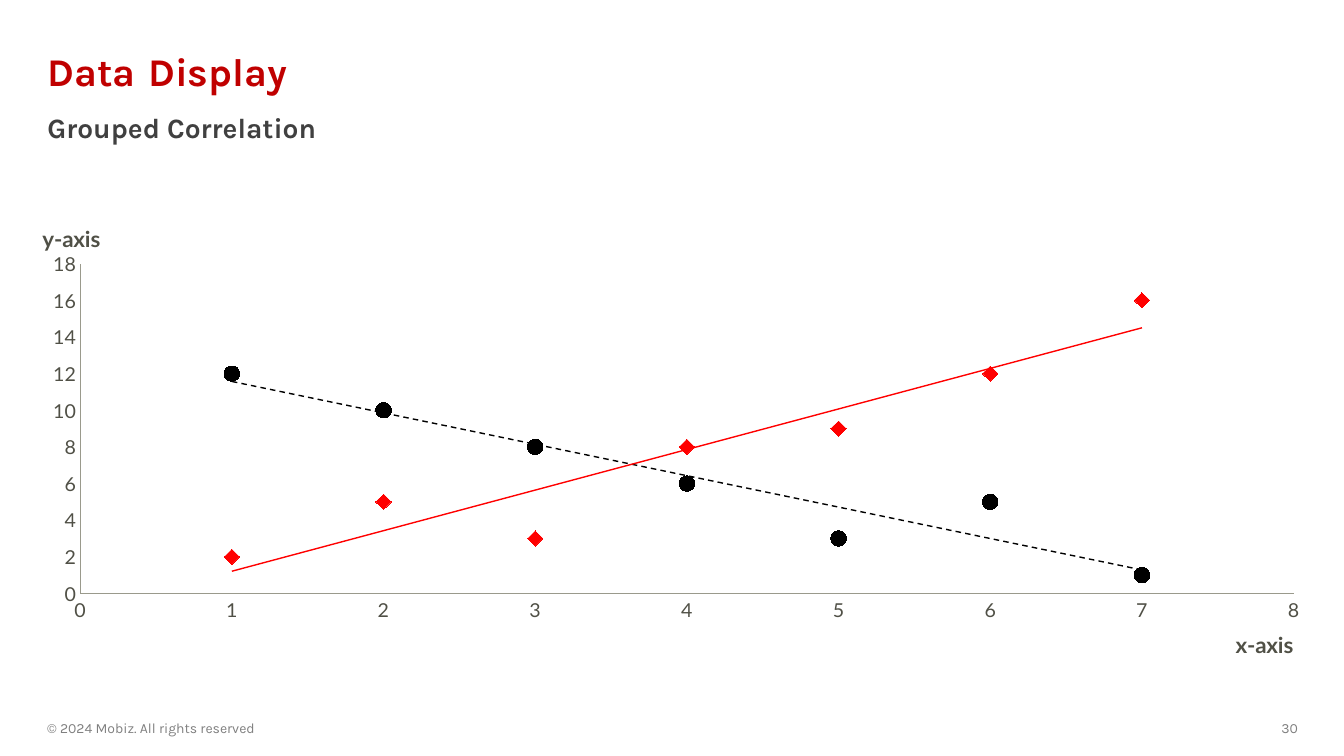
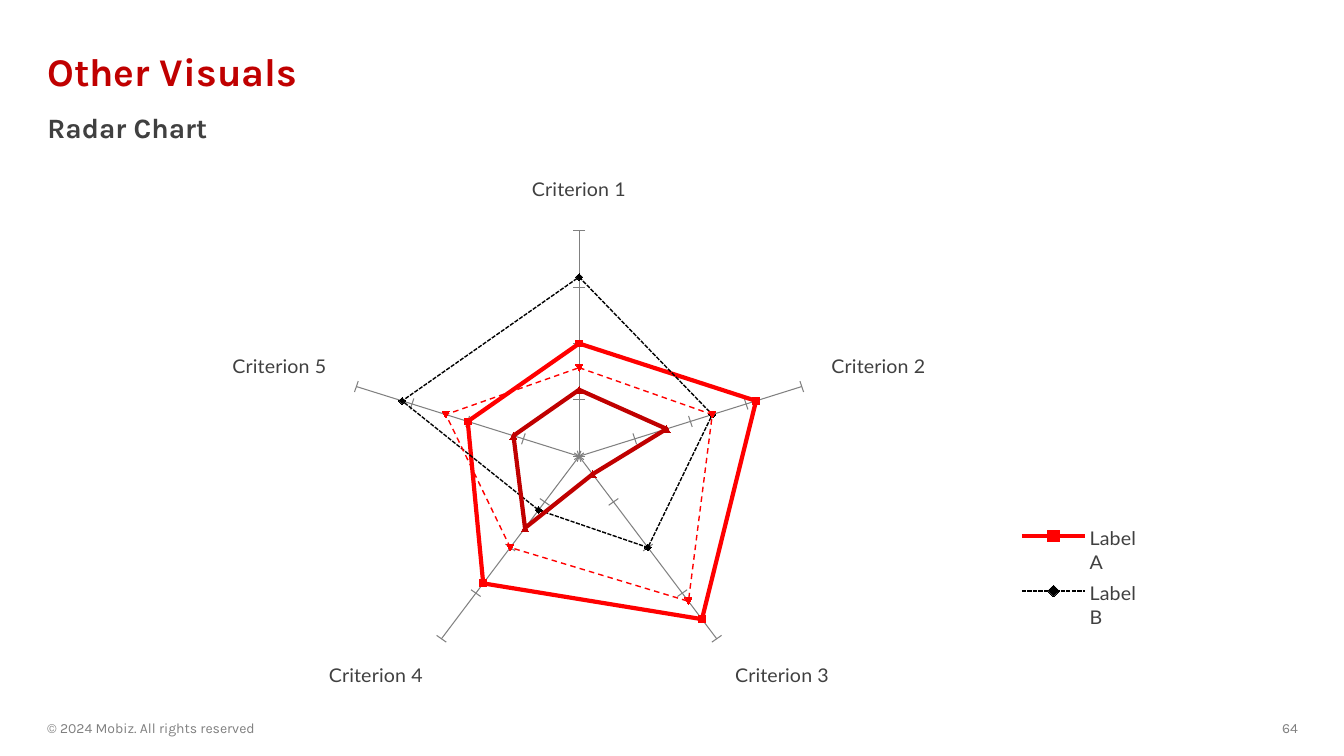
from lxml import etree
from pptx import Presentation
from pptx.chart.data import CategoryChartData, XyChartData
from pptx.dml.color import RGBColor
from pptx.enum.chart import XL_CHART_TYPE as ChartType
from pptx.enum.chart import XL_LEGEND_POSITION as LegendPosition
from pptx.enum.chart import XL_MARKER_STYLE as Marker
from pptx.enum.chart import XL_TICK_LABEL_POSITION as LabelPosition
from pptx.enum.chart import XL_TICK_MARK as TickMark
from pptx.enum.dml import MSO_LINE_DASH_STYLE as Dash
from pptx.enum.text import MSO_ANCHOR, MSO_AUTO_SIZE, PP_ALIGN
from pptx.oxml.ns import qn
from pptx.util import Inches, Pt

COLORS = {name: RGBColor.from_string(value) for name, value in {
    "title": "C00000",
    "subtitle": "404040",
    "footer": "808080",
    "red": "FF0000",
    "dark_red": "C00000",
    "black": "000000",
    "axis_text": "505046",
    "axis_line": "9A9A8C",
    "spoke": "808080",
}.items()}
HEADING_FONT, CHART_FONT = "Karla", "Lato"
LEFT, WIDTH = 0.37, 12.6


def add_run(paragraph, text, size, color, font=HEADING_FONT, bold=False):
    run = paragraph.add_run()
    run.text = text
    run.font.name, run.font.size, run.font.bold = font, Pt(size), bold
    run.font.color.rgb = COLORS[color]


def set_layout(parent, index, inner=False, **fractions):
    """Place a chart part by fractions of the chart, as its child at index."""
    for old in parent.findall(qn("c:layout")):
        parent.remove(old)
    layout = etree.Element(qn("c:layout"))
    manual = etree.SubElement(layout, qn("c:manualLayout"))
    settings = {"layoutTarget": "inner"} if inner else {}
    settings |= {"xMode": "edge", "yMode": "edge"} | fractions
    for name, value in settings.items():
        etree.SubElement(manual, qn(f"c:{name}")).set("val", str(value))
    parent.insert(index, layout)


presentation = Presentation()
presentation.slide_width, presentation.slide_height = Inches(13.33), Inches(7.5)

# Titles, subtitles and footers
slides = []
for title, subtitle, number in (
    ("Data \tDisplay", "Grouped Correlation", "30"),
    ("Other Visuals", "Radar Chart", "64"),
):
    slide = presentation.slides.add_slide(presentation.slide_layouts[1])
    slides.append(slide)
    for shape, top, height, anchor, text, size, color in (
        (slide.shapes.title, 0.4, 0.67, MSO_ANCHOR.MIDDLE, title, 28, "title"),
        (slide.placeholders[1], 1.08, 0.47, MSO_ANCHOR.TOP, subtitle, 20, "subtitle"),
    ):
        shape.left, shape.top = Inches(LEFT), Inches(top)
        shape.width, shape.height = Inches(WIDTH), Inches(height)
        frame = shape.text_frame
        frame.auto_size, frame.vertical_anchor = MSO_AUTO_SIZE.NONE, anchor
        paragraph = frame.paragraphs[0]
        properties = paragraph._p.get_or_add_pPr()
        properties.set("marL", "0")
        properties.set("indent", "0")
        etree.SubElement(properties, qn("a:buNone"))
        paragraph.alignment = PP_ALIGN.LEFT
        paragraph.line_spacing, paragraph.space_before = 0.9, Pt(0)
        add_run(paragraph, text, size, color, bold=True)

    for left, width, alignment, text in (
        (LEFT, 4.5, PP_ALIGN.LEFT, "© 2024 Mobiz. All rights reserved"),
        (11.75, 1.22, PP_ALIGN.RIGHT, number),
    ):
        box = slide.shapes.add_textbox(Inches(left), Inches(7.1), Inches(width), Inches(0.25))
        frame = box.text_frame
        frame.word_wrap, frame.vertical_anchor = True, MSO_ANCHOR.MIDDLE
        frame.paragraphs[0].alignment = alignment
        add_run(frame.paragraphs[0], text, 10, "footer")

correlation_slide, radar_slide = slides

# Scatter chart with trend lines
scatter_series = (
    ("Series 1", (2, 5, 3, 8, 9, 12, 16), "red", Marker.DIAMOND, "solid"),
    ("Series 2", (12, 10, 8, 6, 3, 5, 1), "black", Marker.CIRCLE, "dash"),
)
data = XyChartData()
for name, values, *_ in scatter_series:
    points = data.add_series(name)
    for x, y in enumerate(values, start=1):
        points.add_data_point(x, y)
chart = correlation_slide.shapes.add_chart(
    ChartType.XY_SCATTER, Inches(0.38), Inches(2.09), Inches(12.59), Inches(4.5), data
).chart
chart.has_title = chart.has_legend = False
chart.font.name, chart.font.size = CHART_FONT, Pt(18)
chart.font.color.rgb = COLORS["axis_text"]
chart.plots[0].vary_by_categories = False
set_layout(chart._chartSpace.chart.plotArea, 0, inner=True, x=0.033, y=0.119, w=0.956, h=0.74)

for axis, text, maximum, unit, line_width, x, y in (
    (chart.category_axis, "x-axis", 8, 1, 1, 0.94, 0.93),
    (chart.value_axis, "y-axis", 18, 2, 0.75, 0, 0.02),
):
    axis.minimum_scale, axis.maximum_scale, axis.major_unit = 0, maximum, unit
    axis.has_major_gridlines = False
    axis.major_tick_mark = axis.minor_tick_mark = TickMark.NONE
    axis.tick_labels.font.size = Pt(14)
    axis.format.line.width = Pt(line_width)
    axis.format.line.color.rgb = COLORS["axis_line"]
    add_run(axis.axis_title.text_frame.paragraphs[0], text, 16, "axis_text", CHART_FONT, True)
    title_element = axis.axis_title._element
    body = title_element.find(".//" + qn("a:bodyPr"))
    body.set("rot", "0")
    body.set("vert", "horz")
    set_layout(title_element, 1, x=x, y=y)

for series, (_, _, color, marker, dash) in zip(chart.plots[0].series, scatter_series):
    series.format.line.fill.background()
    series.marker.style, series.marker.size = marker, 11
    series.marker.format.fill.solid()
    series.marker.format.fill.fore_color.rgb = COLORS[color]
    series.marker.format.line.color.rgb = COLORS[color]
    trend = etree.Element(qn("c:trendline"))
    shape_properties = etree.SubElement(trend, qn("c:spPr"))
    line = etree.SubElement(shape_properties, qn("a:ln"), w=str(Pt(1)))
    fill = etree.SubElement(line, qn("a:solidFill"))
    etree.SubElement(fill, qn("a:srgbClr"), val=str(COLORS[color]))
    etree.SubElement(line, qn("a:prstDash"), val=dash)
    for tag, value in (("trendlineType", "linear"), ("dispRSqr", "0"), ("dispEq", "0")):
        etree.SubElement(trend, qn(f"c:{tag}"), val=value)
    series._element.find(qn("c:xVal")).addprevious(trend)

# Radar chart
radar_series = (
    ("Label A", (56, 89, 100, 78, 56), "red", 3, Dash.SOLID),
    ("Label B", (89, 67, 56, 33, 89), "black", 1, Dash.SQUARE_DOT),
    ("Label C", (44, 67, 89, 56, 67), "red", 1, Dash.DASH),
    ("Label D", (33, 44, 11, 44, 33), "dark_red", 3, Dash.SOLID),
)
data = CategoryChartData()
data.categories = [f"Criterion {number}" for number in range(1, 6)]
for name, values, *_ in radar_series:
    data.add_series(name, values)
chart = radar_slide.shapes.add_chart(
    ChartType.RADAR_MARKERS, Inches(LEFT), Inches(1.76), Inches(WIDTH), Inches(5.05), data
).chart
chart.has_title = False
chart.font.name, chart.font.size = CHART_FONT, Pt(14)
chart.font.color.rgb = COLORS["subtitle"]
chart.plots[0].vary_by_categories = False
set_layout(chart._chartSpace.chart.plotArea, 0, inner=True, x=0.134, y=0.073, w=0.585, h=0.92)

chart.category_axis.major_tick_mark = TickMark.OUTSIDE
chart.category_axis.has_major_gridlines = True
spokes = chart.value_axis
spokes.minimum_scale, spokes.maximum_scale, spokes.major_unit = 0, 112, 28
spokes.has_major_gridlines = False
spokes.major_tick_mark, spokes.minor_tick_mark = TickMark.CROSS, TickMark.NONE
spokes.tick_label_position = LabelPosition.NONE
for line in (
    chart.category_axis.format.line,
    chart.category_axis.major_gridlines.format.line,
    spokes.format.line,
):
    line.width = Pt(0.75)
    line.color.rgb = COLORS["spoke"]

for series, (_, _, color, line_width, dash) in zip(chart.plots[0].series, radar_series):
    series.smooth = False
    series.format.line.width = Pt(line_width)
    series.format.line.color.rgb = COLORS[color]
    series.format.line.dash_style = dash
    series.marker.style, series.marker.size = Marker.AUTOMATIC, 5
    series.marker.format.fill.solid()
    series.marker.format.fill.fore_color.rgb = COLORS[color]
    series.marker.format.line.color.rgb = COLORS[color]

# The legend names only the first two series
chart.has_legend = True
legend = chart.legend
legend.position, legend.include_in_layout = LegendPosition.RIGHT, False
set_layout(legend._element, 1, x=0.77, y=0.66, w=0.1, h=0.24)
for position, series_index in enumerate((2, 3), start=1):
    entry = etree.Element(qn("c:legendEntry"))
    etree.SubElement(entry, qn("c:idx"), val=str(series_index))
    etree.SubElement(entry, qn("c:delete"), val="1")
    legend._element.insert(position, entry)

presentation.save("out.pptx")
